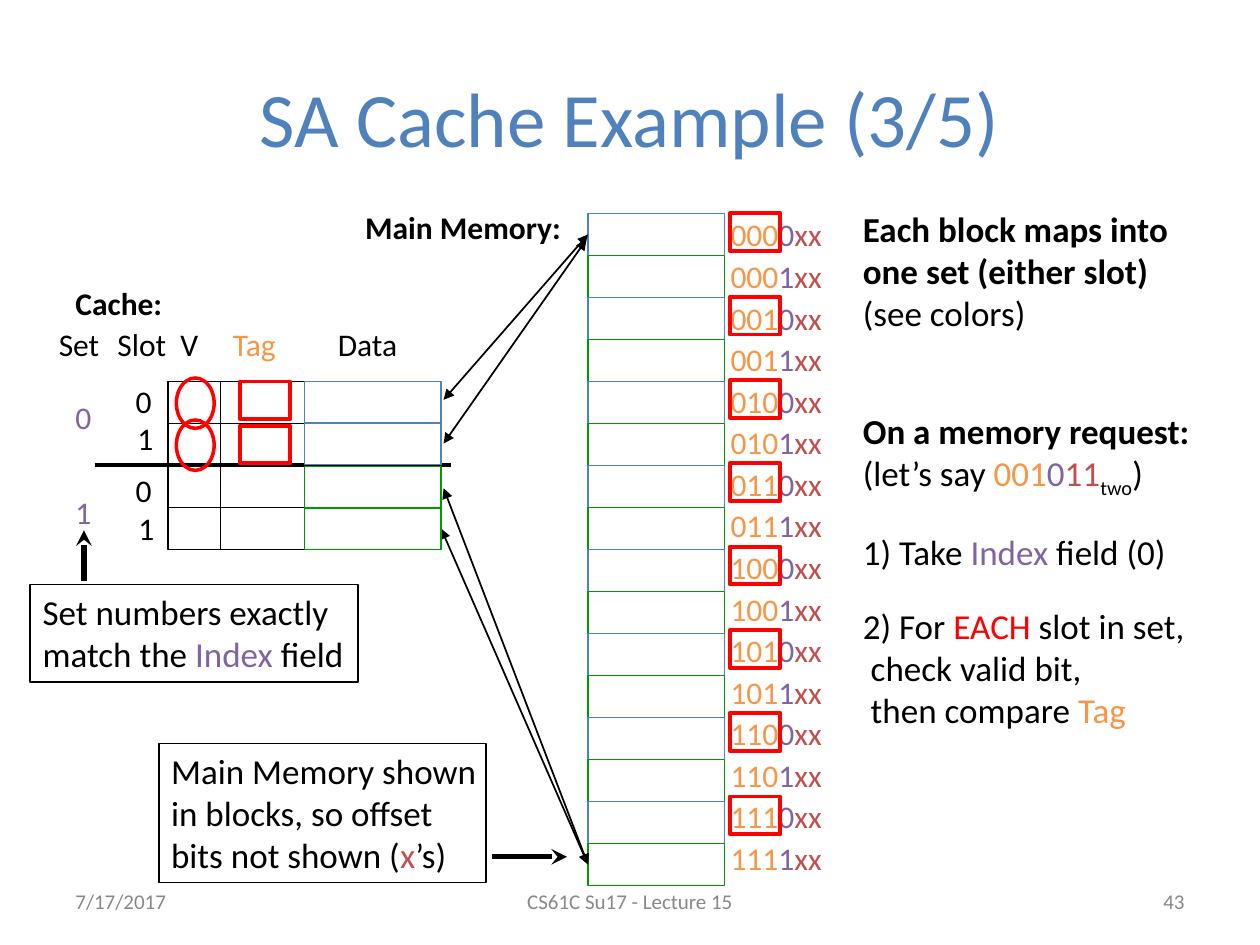
"""Build the set-associative cache example slide."""
import pptx
import pptx.util
import pptx.dml.color
import pptx.enum.shapes
import pptx.enum.text
import pptx.oxml
import pptx.oxml.ns

Pt = pptx.util.Pt
hue = pptx.dml.color.RGBColor.from_string
qn = pptx.oxml.ns.qn
SHAPE = pptx.enum.shapes.MSO_SHAPE
ALIGN = pptx.enum.text.PP_ALIGN
ANCHOR = pptx.enum.text.MSO_ANCHOR

BLACK, WHITE, RED, GRAY = "000000", "FFFFFF", "FF0000", "888888"
BLUE, GREEN = "4F81BD", "009900"
TAG, INDEX, OFFSET = "F79646", "8064A2", "C0504D"

deck = pptx.Presentation()
deck.slide_width, deck.slide_height = Pt(720), Pt(540)
slide = deck.slides.add_slide(deck.slide_layouts[6])
shapes = slide.shapes


def box(x, y, w, h, edge, fill=None, width=1, kind=SHAPE.RECTANGLE):
    shape = shapes.add_shape(kind, Pt(x), Pt(y), Pt(w), Pt(h))
    shape.shadow.inherit = False
    if fill:
        shape.fill.solid()
        shape.fill.fore_color.rgb = hue(fill)
    else:
        shape.fill.background()
    shape.line.color.rgb = hue(edge)
    shape.line.width = Pt(width)


def write(x, y, w, h, paras, size=18, align=ALIGN.LEFT, bold=False):
    shape = shapes.add_textbox(Pt(x), Pt(y), Pt(w), Pt(h))
    frame = shape.text_frame
    frame.word_wrap = True
    for i, parts in enumerate(paras):
        para = frame.add_paragraph() if i else frame.paragraphs[0]
        para.alignment = align
        for words, color in parts:
            if words == "\n":
                para.add_line_break()
                continue
            run = para.add_run()
            run.text = words
            run.font.name = "Calibri"
            run.font.size = Pt(size)
            run.font.bold = bold
            run.font.color.rgb = hue(color)
    return shape


for x, y, w, h, words, size, align, color in [
    (36, 21.6, 648, 90, "SA Cache Example (3/5)", 44, ALIGN.CENTER, BLUE),
    (36, 500.5, 168, 28.75, "7/17/2017", 12, ALIGN.LEFT, GRAY),
    (246, 500.5, 228, 28.75, "CS61C Su17 - Lecture 15", 12, ALIGN.CENTER, GRAY),
    (516, 500.5, 168, 28.75, "43", 12, ALIGN.RIGHT, GRAY),
]:
    label = write(x, y, w, h, [[(words, color)]], size, align)
    label.text_frame.vertical_anchor = ANCHOR.MIDDLE

row = 24
for i in range(16):
    box(336, 122 + row * i, 78, row, GREEN if i % 2 else BLUE, WHITE)
codes = [f"{i:04b}" for i in range(16)]
names = write(410.4, 117.4, 78, 391, [
    [(code[:3], TAG), (code[3], INDEX), ("xx", OFFSET)] for code in codes])
for para in names.text_frame.paragraphs:
    para.line_spacing = 1.1
for i in range(0, 16, 2):
    box(417, 122 + 23.8 * i, 29, 21.6, RED, width=2.25)

for x, w in [(96, 30), (126, 48)]:
    box(x, 218, w, 4 * row, BLACK)

both, end = ("headEnd", "tailEnd"), ("tailEnd",)
for x1, y1, x2, y2, width, heads, tip in [
    (96, 242, 174, 242, 1, (), ""),
    (96, 290, 174, 290, 1, (), ""),
    (54, 266, 258, 266, 2.25, (), ""),
    (336, 134, 253.5, 228.5, 1, both, "triangle"),
    (335, 137, 253.5, 253.5, 1, both, "triangle"),
    (252, 302, 336, 494, 1, both, "triangle"),
    (253.5, 279, 336, 494, 1, both, "triangle"),
    (48, 332, 48, 303, 3, end, "stealth"),
    (281, 489.6, 324, 489.6, 3, end, "stealth"),
]:
    line = shapes.add_connector(
        pptx.enum.shapes.MSO_CONNECTOR.STRAIGHT, Pt(x1), Pt(y1), Pt(x2), Pt(y2))
    line.line.color.rgb = hue(BLACK)
    line.line.width = Pt(width)
    for name in heads:
        line.line._get_or_add_ln().append(pptx.oxml.parse_xml(
            f'<a:{name} {pptx.oxml.ns.nsdecls("a")} type="{tip}"/>'))
    props = line._element.spPr
    props.append(props.makeelement(qn("a:effectLst"), {}))

for y, edge in [(218, BLUE), (241.5, BLUE), (290, GREEN), (266.5, GREEN)]:
    box(174, y, 78, row, edge, WHITE)
for y in (218, 243.2):
    box(137, y, 29, 21.6, RED, width=2.25)
for y in (216, 240):
    box(100.8, y, 21.6, 28.8, RED, width=2, kind=SHAPE.OVAL)

for x, y, w, words, color, bold in [
    (36, 158.5, 65, "Cache:", BLACK, True),
    (201.6, 115.2, 130, "Main Memory:", BLACK, True),
    (26.5, 182.3, 38, "Set", BLACK, False),
    (60, 182.3, 43, "Slot", BLACK, False),
    (96, 182.3, 27, "V", BLACK, False),
    (126, 182.3, 48, "Tag", TAG, False),
    (186, 182.3, 53, "Data", BLACK, False),
    (70.5, 214.6, 25, "0", BLACK, False),
    (71.5, 236, 25, "1", BLACK, False),
    (70.5, 265.7, 25, "0", BLACK, False),
    (72, 287.3, 25, "1", BLACK, False),
    (36, 224, 25, "0", INDEX, False),
    (36, 278, 25, "1", INDEX, False),
]:
    write(x, y, w, 29, [[(words, color)]], bold=bold)

rule = write(486, 115.2, 216, 80, [
    [("Each block maps into one set (either slot)", BLACK)],
    [("(see colors)", BLACK)]], 20)
rule.text_frame.paragraphs[0].runs[0].font.bold = True

steps = write(486, 230.4, 216, 189.4, [
    [("On a memory request:", BLACK), ("\n", BLACK), ("(let’s say ", BLACK),
     ("001", TAG), ("0", INDEX), ("11", OFFSET), ("two", BLACK), (")", BLACK)],
    [("1) Take ", BLACK), ("Index", INDEX), (" field (0)", BLACK)],
    [("2) For ", BLACK), ("EACH", RED), (" slot in set,", BLACK)],
    [(" check valid bit,", BLACK)],
    [(" then compare ", BLACK), ("Tag", TAG)]], 20)
paras = steps.text_frame.paragraphs
paras[0].runs[0].font.bold = True
paras[0].runs[5].font._element.set("baseline", "-25000")
for para in paras[1:3]:
    para.space_before = Pt(18)

match = write(17.3, 334, 187.2, 55.7, [
    [("Set numbers exactly match the ", BLACK), ("Index", INDEX),
     (" field", BLACK)]], 20)
shown = write(90.7, 424.8, 187.2, 79.5, [
    [("Main Memory shown in blocks, so offset bits not shown (", BLACK),
     ("x", OFFSET), ("’s)", BLACK)]], 20)
shown.text_frame.margin_right = 0
for note in (match, shown):
    note.line.color.rgb = hue(BLACK)
    note.line.width = Pt(1)

deck.save("out.pptx")
